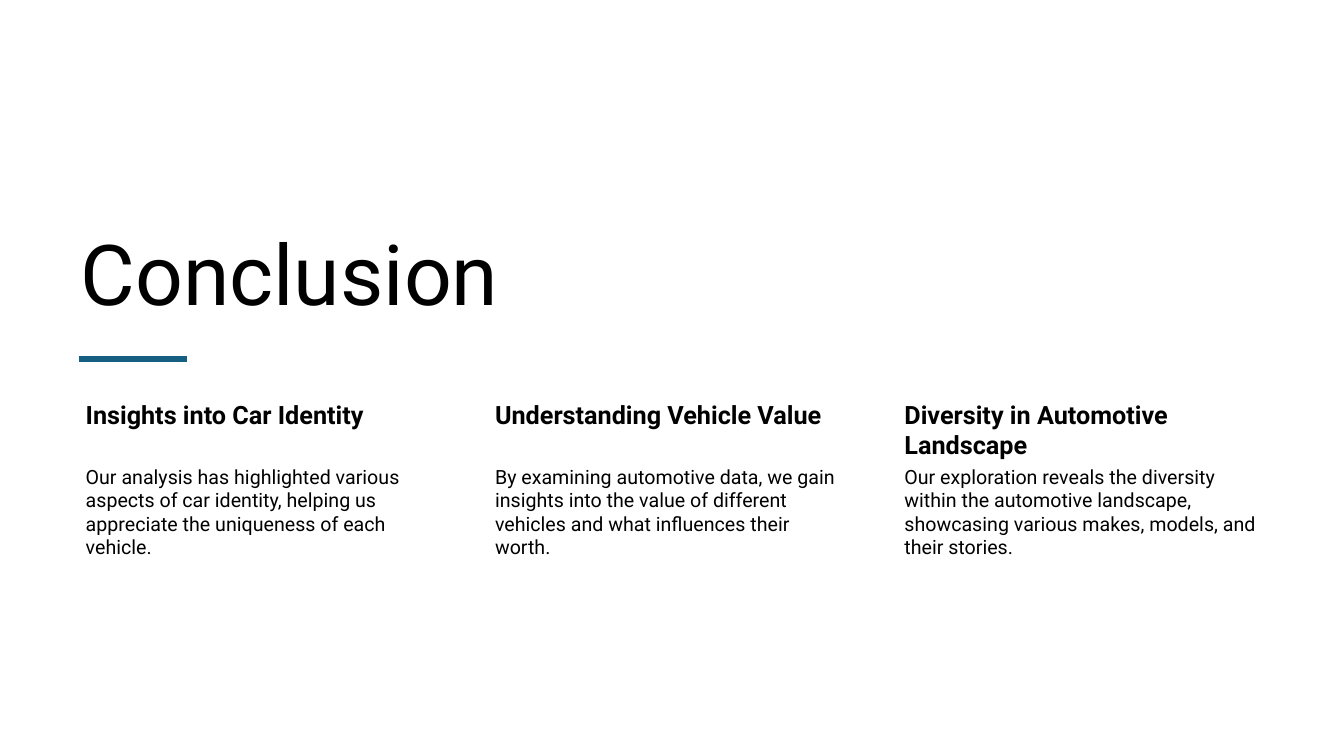
from dataclasses import dataclass

from lxml.etree import SubElement
from pptx import Presentation
from pptx.dml.color import RGBColor
from pptx.enum.shapes import MSO_CONNECTOR
from pptx.enum.text import MSO_ANCHOR, MSO_AUTO_SIZE, PP_ALIGN
from pptx.oxml.ns import qn
from pptx.util import Pt

TITLE = "Conclusion"
CONCLUSIONS = [
    ("Insights into Car Identity",
     "Our analysis has highlighted various aspects of car identity, "
     "helping us appreciate the uniqueness of each vehicle."),
    ("Understanding Vehicle Value",
     "By examining automotive data, we gain insights into the value of "
     "different vehicles and what influences their worth."),
    ("Diversity in Automotive Landscape",
     "Our exploration reveals the diversity within the automotive landscape, "
     "showcasing various makes, models, and their stories."),
]


@dataclass(frozen=True)
class Theme:
    font: str = "Roboto"
    text: RGBColor = RGBColor(0, 0, 0)
    accent: RGBColor = RGBColor(0x15, 0x60, 0x82)
    title_size: int = 60
    heading_size: int = 18
    body_size: int = 14
    rule_width: float = 4.5


THEME = Theme()
EMU_PER_PX = 9144  # 100 px to the inch
SLIDE_WIDTH, SLIDE_HEIGHT = 1333, 750
TITLE_BOX = (70, 172, 893, 154)
RULE_LEFT, RULE_RIGHT, RULE_TOP = 78, 185, 356
COLUMN_LEFT, COLUMN_WIDTH, COLUMN_GAP = 70, 369, 37
HEADING_TOP, HEADING_HEIGHT, BODY_HEIGHT = 393, 66, 207


def px(*lengths):
    return [length * EMU_PER_PX for length in lengths]


def write_text(shape, text, size, bold=False, insets=(10, 5, 10, 5),
               anchor=MSO_ANCHOR.TOP, line_spacing=1.0):
    frame = shape.text_frame
    frame.word_wrap = True
    frame.auto_size = MSO_AUTO_SIZE.NONE
    frame.vertical_anchor = anchor
    (frame.margin_left, frame.margin_top,
     frame.margin_right, frame.margin_bottom) = px(*insets)
    paragraph = frame.paragraphs[0]
    paragraph.alignment = PP_ALIGN.LEFT
    paragraph.line_spacing = line_spacing
    run = paragraph.add_run()
    run.text = text
    run.font.name = THEME.font
    run.font.size = Pt(size)
    run.font.bold = bold
    run.font.color.rgb = THEME.text


def add_title(slide):
    title = slide.shapes.title
    title.left, title.top, title.width, title.height = px(*TITLE_BOX)
    write_text(title, TITLE, THEME.title_size,
               anchor=MSO_ANCHOR.BOTTOM, line_spacing=0.9)


def add_rule(slide):
    rule = slide.shapes.add_connector(
        MSO_CONNECTOR.STRAIGHT, *px(RULE_LEFT, RULE_TOP, RULE_RIGHT, RULE_TOP))
    rule.line.color.rgb = THEME.accent
    rule.line.width = Pt(THEME.rule_width)
    SubElement(rule._element.spPr, qn("a:effectLst"))


def add_column(slide, left, heading, body):
    heading_box = slide.shapes.add_textbox(
        *px(left, HEADING_TOP, COLUMN_WIDTH, HEADING_HEIGHT))
    write_text(heading_box, heading, THEME.heading_size, bold=True,
               insets=(15, 3, 3, 3))
    body_box = slide.shapes.add_textbox(
        *px(left, HEADING_TOP + HEADING_HEIGHT, COLUMN_WIDTH, BODY_HEIGHT))
    write_text(body_box, body, THEME.body_size, insets=(15, 2, 2, 2))


def main():
    presentation = Presentation()
    presentation.slide_width, presentation.slide_height = px(SLIDE_WIDTH, SLIDE_HEIGHT)
    title_only = presentation.slide_layouts.get_by_name("Title Only")
    slide = presentation.slides.add_slide(title_only)
    add_title(slide)
    add_rule(slide)
    for index, (heading, body) in enumerate(CONCLUSIONS):
        left = COLUMN_LEFT + index * (COLUMN_WIDTH + COLUMN_GAP)
        add_column(slide, left, heading, body)
    presentation.save("out.pptx")


if __name__ == "__main__":
    main()
